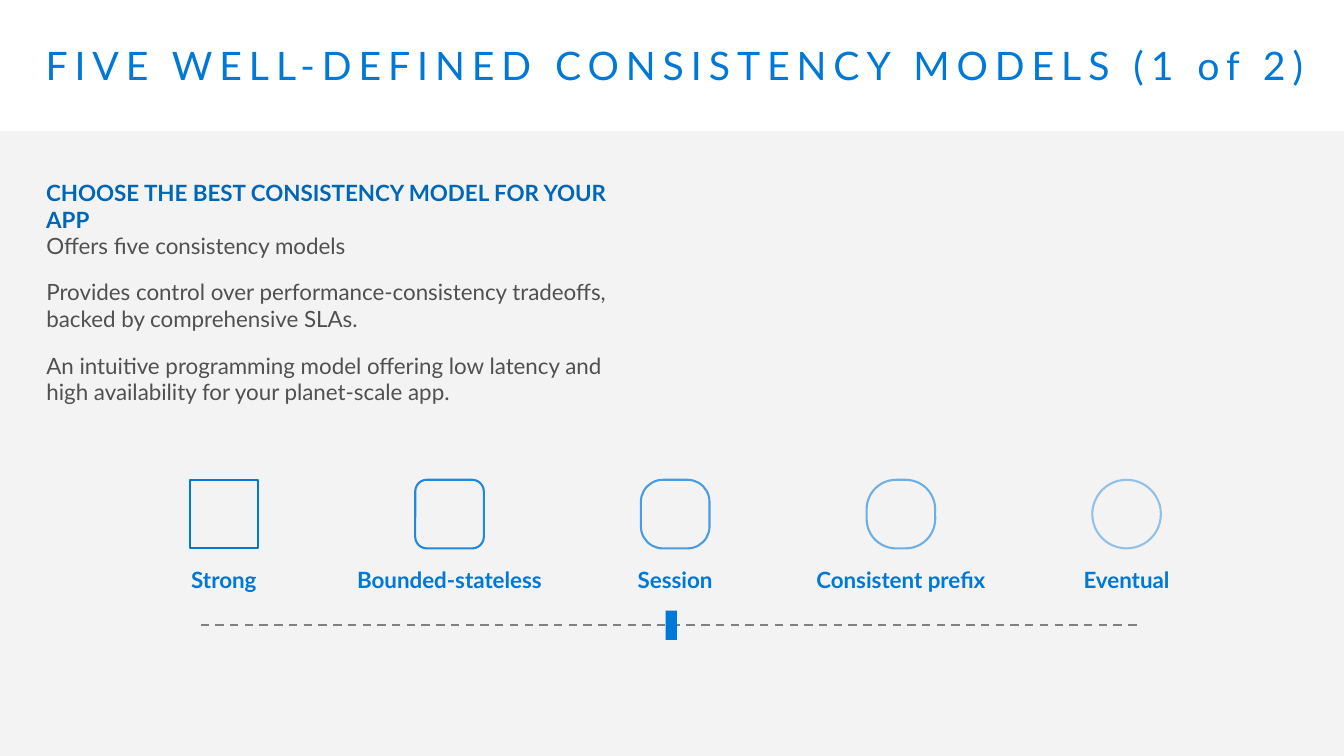
"""Build a slide that presents five consistency models along a scale."""
from lxml import etree
from pptx import Presentation
from pptx.dml.color import RGBColor
from pptx.enum.dml import MSO_LINE
from pptx.enum.shapes import MSO_CONNECTOR, MSO_SHAPE
from pptx.enum.text import MSO_ANCHOR, PP_ALIGN
from pptx.oxml.ns import qn
from pptx.util import Pt

RECT, ROUND, OVAL = MSO_SHAPE.RECTANGLE, MSO_SHAPE.ROUNDED_RECTANGLE, MSO_SHAPE.OVAL
LEFT, CENTER, TOP = PP_ALIGN.LEFT, PP_ALIGN.CENTER, MSO_ANCHOR.TOP
STRAIGHT, DASH = MSO_CONNECTOR.STRAIGHT, MSO_LINE.DASH

BLUE = RGBColor(0x00, 0x78, 0xD7)
NAVY = RGBColor(0x00, 0x67, 0xB7)
INK = RGBColor(0x50, 0x50, 0x50)
GRAY = RGBColor(0x80, 0x80, 0x80)
PANEL = RGBColor(0xF2, 0xF2, 0xF2)
PALE = RGBColor(0xF3, 0xF3, 0xF3)
FONT = "Lato"

TITLE = "FIVE WELL-DEFINED CONSISTENCY MODELS (1 of 2)"
HEAD = "CHOOSE THE BEST CONSISTENCY MODEL FOR YOUR APP"
BODY = [
    "Offers five consistency models",
    "Provides control over performance-consistency tradeoffs, backed by comprehensive SLAs.",
    "An intuitive programming model offering low latency and high availability for your planet-scale app.",
]
# name, shape, corner, line opacity in percent, label width
MODELS = [
    ("Strong", RECT, None, 100, 49),
    ("Bounded-stateless", ROUND, 0.17, 85, 134.6),
    ("Session", ROUND, 0.32, 70, 54.7),
    ("Consistent prefix", ROUND, 0.43, 55, 123.1),
    ("Eventual", OVAL, None, 40, 62.6),
]
WIDE, HIGH = 960, 540
SIDE, FIRST, STEP = 49, 135.4, 161.2
ICON_Y, LABEL_Y, SCALE_Y = 342.7, 401, 446.6
SCALE_X, SCALE_W = 143.3, 672.5
KNOB_W, KNOB_H = 8, 21


def fade(fill, cent):
    """Set the opacity of a solid fill's colour."""
    color = fill.find(".//" + qn("a:srgbClr"))
    etree.SubElement(color, qn("a:alpha")).set("val", str(cent * 1000))


def add_box(slide, kind, x, y, w, h, fill):
    """Add a filled shape without line or shadow."""
    box = slide.shapes.add_shape(kind, Pt(x), Pt(y), Pt(w), Pt(h))
    box.shadow.inherit = False
    box.fill.solid()
    box.fill.fore_color.rgb = fill
    box.line.fill.background()
    return box


def add_text(slide, lines, x, y, w, h, pad, size, color,
             bold=False, align=LEFT, wrap=True, gap=0):
    """Add a text box and return its frame."""
    frame = slide.shapes.add_textbox(Pt(x), Pt(y), Pt(w), Pt(h)).text_frame
    frame.word_wrap = wrap
    frame.vertical_anchor = TOP
    frame.margin_left = frame.margin_right = Pt(pad[0])
    frame.margin_top = frame.margin_bottom = Pt(pad[1])
    for i, line in enumerate(lines):
        para = frame.add_paragraph() if i else frame.paragraphs[0]
        para.text = line
        para.alignment = align
        if i:
            para.space_before = Pt(gap)
        font = para.runs[0].font
        font.name, font.size, font.bold = FONT, Pt(size), bold
        font.color.rgb = color
    return frame


def add_model(slide, i, name, kind, bend, cent, width):
    """Add one model's icon and its label."""
    x = FIRST + i * STEP
    icon = add_box(slide, kind, x, ICON_Y, SIDE, SIDE, PALE)
    if bend is not None:
        icon.adjustments[0] = bend
    icon.line.color.rgb = BLUE
    icon.line.width = Pt(1.5)
    if cent < 100:
        fade(icon.line._get_or_add_ln(), cent)
    add_text(slide, [name], x + (SIDE - width) / 2, LABEL_Y, width, 26.6,
             (0, 3.6), 16, BLUE, True, CENTER, False)


def add_scale(slide):
    """Add the dashed scale and the knob at its middle."""
    line = slide.shapes.add_connector(
        STRAIGHT, Pt(SCALE_X), Pt(SCALE_Y), Pt(SCALE_X + SCALE_W), Pt(SCALE_Y))
    line.line.color.rgb = GRAY
    line.line.width = Pt(1.5)
    line.line.dash_style = DASH
    etree.SubElement(line._element.spPr, qn("a:effectLst"))
    mid = SCALE_X + SCALE_W / 2
    add_box(slide, RECT, mid - KNOB_W / 2, SCALE_Y - KNOB_H / 2, KNOB_W, KNOB_H, BLUE)


def main():
    """Build and save the slide."""
    deck = Presentation()
    deck.slide_width, deck.slide_height = Pt(WIDE), Pt(HIGH)
    slide = deck.slides.add_slide(deck.slide_layouts[6])
    panel = add_box(slide, RECT, 0, 93.6, WIDE, HIGH - 93.6, PANEL)
    fade(panel._element.spPr, 89)
    title = add_text(slide, [TITLE], 21, 26, 932.4, 49, (11.5, 7.2), 28, BLUE).paragraphs[0]
    title.line_spacing = 0.9
    title.runs[0].font._element.set("spc", "500")
    add_text(slide, [HEAD], 25.9, 124.6, 447, 26.6, (7.2, 3.6), 16, NAVY, True)
    add_text(slide, BODY, 21.6, 158.4, 430, 147.6, (11.5, 7.2), 16, INK, gap=14)
    for i, model in enumerate(MODELS):
        add_model(slide, i, *model)
    add_scale(slide)
    deck.save("out.pptx")


if __name__ == "__main__":
    main()
